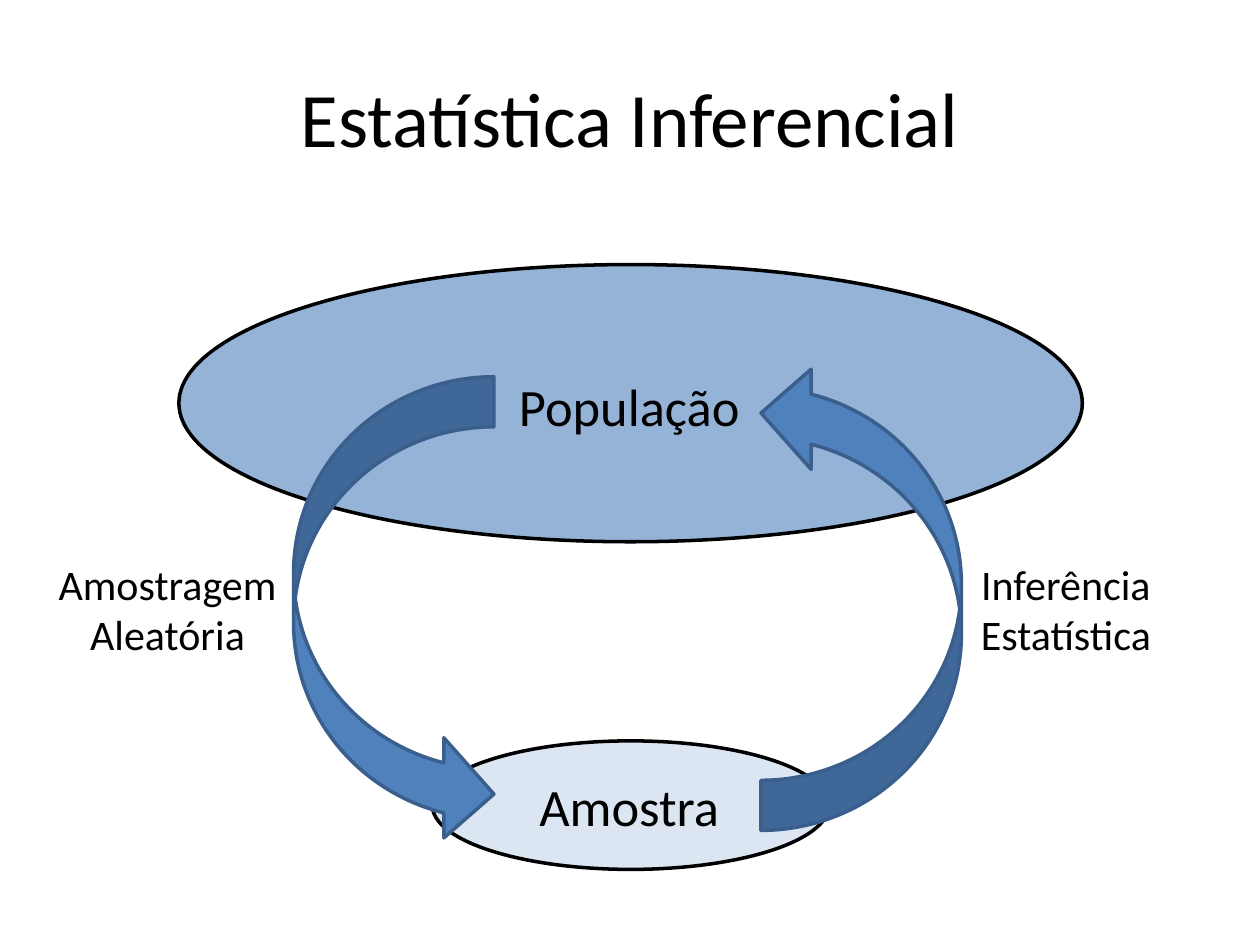
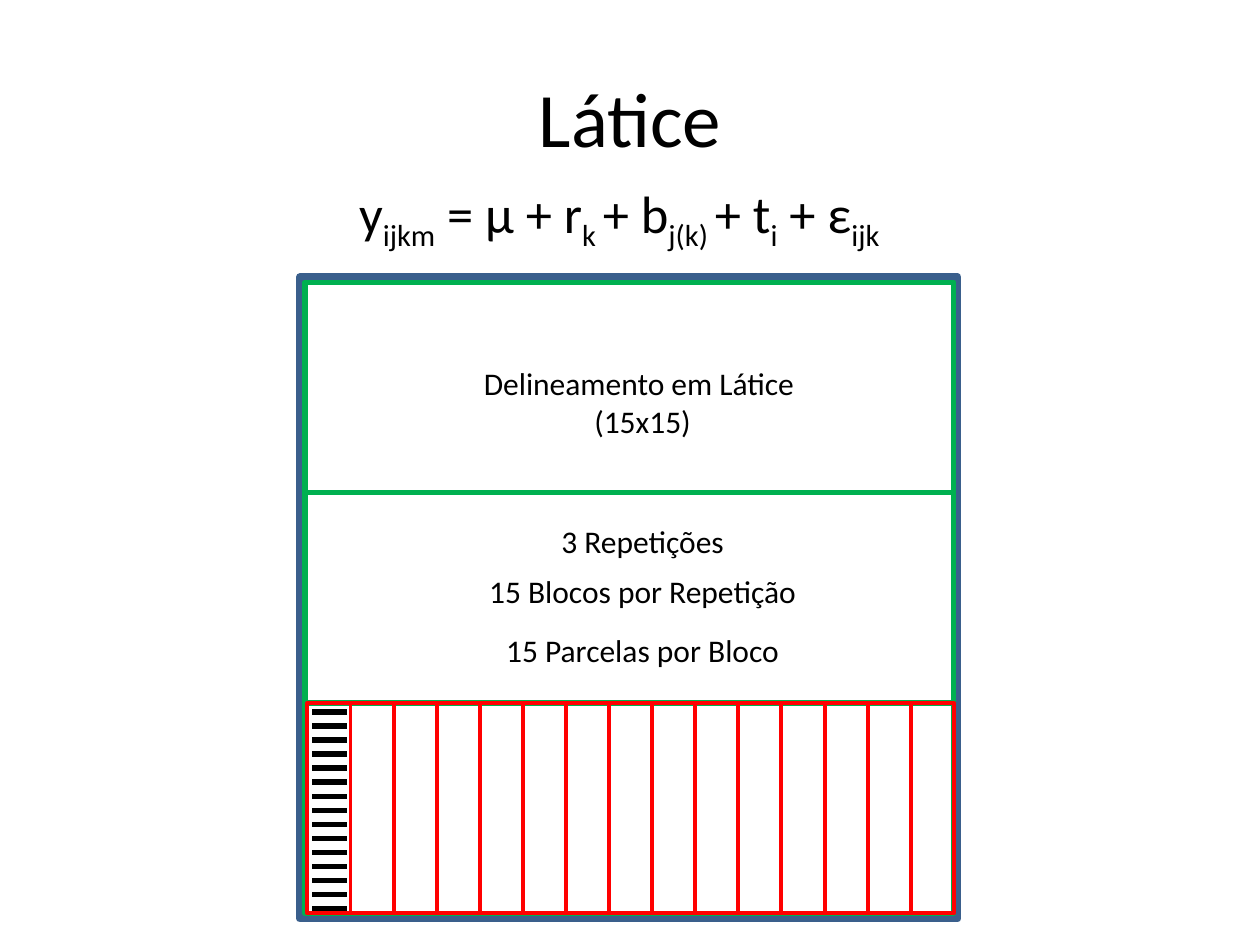
from dataclasses import dataclass

from lxml import etree
from pptx import Presentation
from pptx.dml.color import RGBColor
from pptx.enum.shapes import MSO_CONNECTOR as CONN, MSO_SHAPE as SHAPE
from pptx.enum.text import MSO_ANCHOR as ANCHOR, PP_ALIGN as ALIGN
from pptx.oxml.ns import qn
from pptx.util import Inches, Pt

BLACK = RGBColor(0x00, 0x00, 0x00)
BLUE = RGBColor(0x4F, 0x81, 0xBD)
DARK_BLUE = RGBColor(0x3A, 0x5F, 0x8C)
MID_BLUE = RGBColor(0x95, 0xB3, 0xD7)
PALE_BLUE = RGBColor(0xDC, 0xE6, 0xF2)
GREEN = RGBColor(0x00, 0xB0, 0x50)
RED = RGBColor(0xFF, 0x00, 0x00)

FONT = "Calibri"
WIDTH, HEIGHT = Inches(10), Inches(7.5)
COLS, ROWS = 100, 75
REPS, BLOCKS, PLOTS = 3, 15, 15


@dataclass
class Box:
    x: float
    y: float
    w: float
    h: float

    def inner(self, x, y, w, h):
        return Box(self.x + x, self.y + y, w, h)

    def emu(self):
        col, row = WIDTH / COLS, HEIGHT / ROWS
        return [round(v) for v in (self.x * col, self.y * row, self.w * col, self.h * row)]


def add_run(p, text, size, baseline=0):
    r = p.add_run()
    r.text = text
    r.font.name = FONT
    r.font.size = Pt(size)
    r.font.color.rgb = BLACK
    if baseline:
        r.font._element.set("baseline", str(baseline * 1000))


def add_text(slide, box, lines, size):
    tf = slide.shapes.add_textbox(*box.emu()).text_frame
    tf.word_wrap = True
    for i, runs in enumerate(lines):
        p = tf.paragraphs[0] if i == 0 else tf.add_paragraph()
        p.alignment = ALIGN.CENTER
        for text, baseline in runs:
            add_run(p, text, size, baseline)


def add_lines(slide, box, size, *lines):
    add_text(slide, box, [[(line, 0)] for line in lines], size)


def add_figure(shapes, kind, box, color, weight, fill=None):
    sp = shapes.add_shape(kind, *box.emu())
    sp.shadow.inherit = False
    if fill is None:
        sp.fill.background()
    else:
        sp.fill.solid()
        sp.fill.fore_color.rgb = fill
    sp.line.color.rgb = color
    sp.line.width = Pt(weight)
    return sp


def add_rule(shapes, box, color, weight):
    x, y, w, h = box.emu()
    line = shapes.add_connector(CONN.STRAIGHT, x, y, x + w, y + h)
    line.line.color.rgb = color
    line.line.width = Pt(weight)
    etree.SubElement(line._element.spPr, qn("a:effectLst"))


def add_titled_slide(prs, title):
    slide = prs.slides.add_slide(prs.slide_layouts[5])
    sp = slide.shapes.title
    sp.left, sp.top, sp.width, sp.height = Box(5, 3, 90, 12.5).emu()
    tf = sp.text_frame
    tf.vertical_anchor = ANCHOR.MIDDLE
    p = tf.paragraphs[0]
    p.alignment = ALIGN.CENTER
    add_run(p, title, 44)
    return slide


def add_inference_cycle(slide, box):
    shapes = slide.shapes
    add_figure(shapes, SHAPE.OVAL, box.inner(14.2, 0, 71.7, 22), BLACK, 2, MID_BLUE)
    add_figure(shapes, SHAPE.OVAL, box.inner(34.3, 37.8, 31.5, 10.2), BLACK, 2, PALE_BLUE)
    for y, name in ((8.2, "População"), (39.9, "Amostra")):
        add_lines(slide, box.inner(28.3, y, 43.3, 6.1), 30, name)
    for x, y, turn in ((23.3, 8.9, 0), (60.4, 7.8, 180)):
        arrow = add_figure(shapes, SHAPE.CURVED_RIGHT_ARROW, box.inner(x, y, 15.9, 37.1),
                           DARK_BLUE, 2, BLUE)
        arrow.rotation = turn
    for x, words in ((1.5, ("Amostragem", "Aleatória")), (72.8, ("Inferência", "Estatística"))):
        add_lines(slide, box.inner(x, 22.8, 23.6, 9.1), 24, *words)


def add_blocks(slide, box):
    group = slide.shapes.add_group_shape().shapes
    width = box.w / BLOCKS
    for i in range(BLOCKS):
        add_figure(group, SHAPE.RECTANGLE, box.inner(i * width, 0, width, box.h), RED, 2.25)


def add_plots(slide, box):
    group = slide.shapes.add_group_shape().shapes
    gap = box.h / (PLOTS - 1)
    for i in range(PLOTS):
        add_rule(group, box.inner(0, i * gap, box.w, 0), BLACK, 3)


def add_field(slide, box):
    add_figure(slide.shapes, SHAPE.RECTANGLE, box, DARK_BLUE, 4.5)
    rep = 16.7
    for i in range(REPS):
        add_figure(slide.shapes, SHAPE.RECTANGLE, box.inner(0.4, 0.4 + i * rep, 51.5, rep),
                   GREEN, 3)
    last = box.inner(0.6, 0.4 + (REPS - 1) * rep, 51.3, rep)
    add_blocks(slide, last)
    add_plots(slide, last.inner(0.4, 0.7, 2.7, 15.6))
    captions = (
        (6.4, 6.4, ("Delineamento em Látice ", "(15x15)")),
        (18.9, 3.6, ("3 Repetições",)),
        (22.9, 3.6, ("15 Blocos por Repetição",)),
        (27.6, 3.6, ("15 Parcelas por Bloco",)),
    )
    for y, h, lines in captions:
        add_lines(slide, box.inner(11, y, 32.4, h), 18, *lines)


def add_model(slide, box):
    terms = (("y", "ijkm"), (" = µ + r", "k "), ("+ b", "j(k) "), ("+ t", "i"), (" + ε", "ijk"))
    runs = [run for base, sub in terms for run in ((base, 0), (sub, -25))]
    add_text(slide, box, [runs], 30)


def main():
    prs = Presentation()
    prs.slide_width, prs.slide_height = WIDTH, HEIGHT
    add_inference_cycle(add_titled_slide(prs, "Estatística Inferencial"), Box(0, 21, 100, 48))
    lattice = add_titled_slide(prs, "Látice")
    add_field(lattice, Box(23.8, 22, 52.2, 50.9))
    add_model(lattice, Box(16.1, 13.9, 66.1, 9.1))
    prs.save("out.pptx")


if __name__ == "__main__":
    main()
